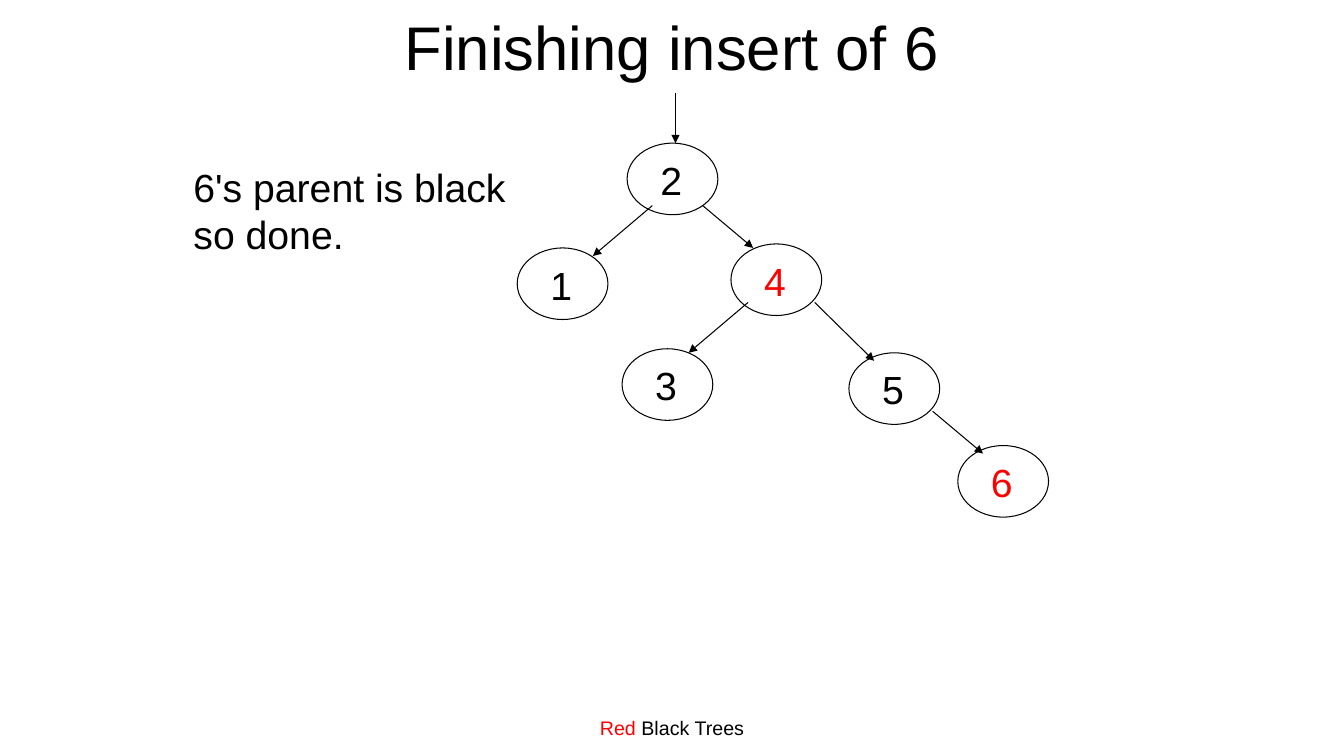
"""Build a slide showing a red-black tree after 6 has been inserted."""
import pptx
import pptx.dml.color
import pptx.enum.shapes
import pptx.enum.text
import pptx.oxml.ns
import pptx.util
from lxml import etree

Inches = pptx.util.Inches
Pt = pptx.util.Pt
PP_ALIGN = pptx.enum.text.PP_ALIGN
MSO_ANCHOR = pptx.enum.text.MSO_ANCHOR
qn = pptx.oxml.ns.qn

COLORS = {"black": "000000", "red": "FF0000"}


def rgb(name):
    return pptx.dml.color.RGBColor.from_string(COLORS[name])


def add_text(shapes, runs, box, size=28, align=PP_ALIGN.LEFT,
             anchor=MSO_ANCHOR.TOP, wrap=False):
    """Add a text box of (text, colour) runs; a newline is a line break."""
    tb = shapes.add_textbox(*[Inches(v) for v in box])
    tf = tb.text_frame
    tf.word_wrap = wrap
    tf.vertical_anchor = anchor
    p = tf.paragraphs[0]
    p.alignment = align
    for text, color in runs:
        for i, line in enumerate(text.split("\n")):
            if i:
                p.add_line_break()
            r = p.add_run()
            r.text = line
            r.font.name = "Arial"
            r.font.size = Pt(size)
            r.font.color.rgb = rgb(color)


prs = pptx.Presentation()
prs.slide_width = Inches(13.33)
prs.slide_height = Inches(7.5)
s = prs.slides.add_slide(prs.slide_layouts[6])

add_text(s.shapes, [("Finishing insert of 6", "black")], (1, -0.17, 11.33, 1.25),
         size=44, align=PP_ALIGN.CENTER, anchor=MSO_ANCHOR.MIDDLE, wrap=True)
add_text(s.shapes, [("6's parent is black\nso done.", "black")], (1.82, 1.57, 3.31, 1.03))
add_text(s.shapes, [("Red", "red"), (" Black Trees", "black")], (4.11, 7.05, 5.11, 0.32),
         size=14, align=PP_ALIGN.CENTER, wrap=True)

nodes = [
    ("2", 6.22, 1.42, "black"),
    ("1", 5.13, 2.46, "black"),
    ("4", 7.25, 2.42, "red"),
    ("3", 6.17, 3.46, "black"),
    ("5", 8.42, 3.5, "black"),
    ("6", 9.5, 4.42, "red"),
]
for key, x, y, color in nodes:
    node = s.shapes.add_group_shape()
    sp = node.shapes.add_shape(pptx.enum.shapes.MSO_SHAPE.OVAL,
                               Inches(x), Inches(y), Inches(0.9), Inches(0.71))
    sp.shadow.inherit = False
    sp.fill.background()
    sp.line.color.rgb = rgb("black")
    sp.line.width = Pt(0.75)
    add_text(node.shapes, [(key, color)], (x + 0.23, y + 0.08, 0.42, 0.57))

arrows = [
    (6.7, 0.92, 6.7, 1.42),
    (6.47, 2.04, 5.88, 2.54),
    (6.97, 2.04, 7.47, 2.46),
    (7.42, 3, 6.83, 3.5),
    (8.08, 3, 8.67, 3.58),
    (9.25, 4.08, 9.75, 4.5),
]
for ends in arrows:
    arrow = s.shapes.add_connector(pptx.enum.shapes.MSO_CONNECTOR.STRAIGHT,
                                   *[Inches(v) for v in ends])
    arrow.line.color.rgb = rgb("black")
    arrow.line.width = Pt(0.75)
    etree.SubElement(arrow.line._get_or_add_ln(), qn("a:tailEnd"), type="triangle")
    etree.SubElement(arrow._element.spPr, qn("a:effectLst"))

prs.save("out.pptx")
